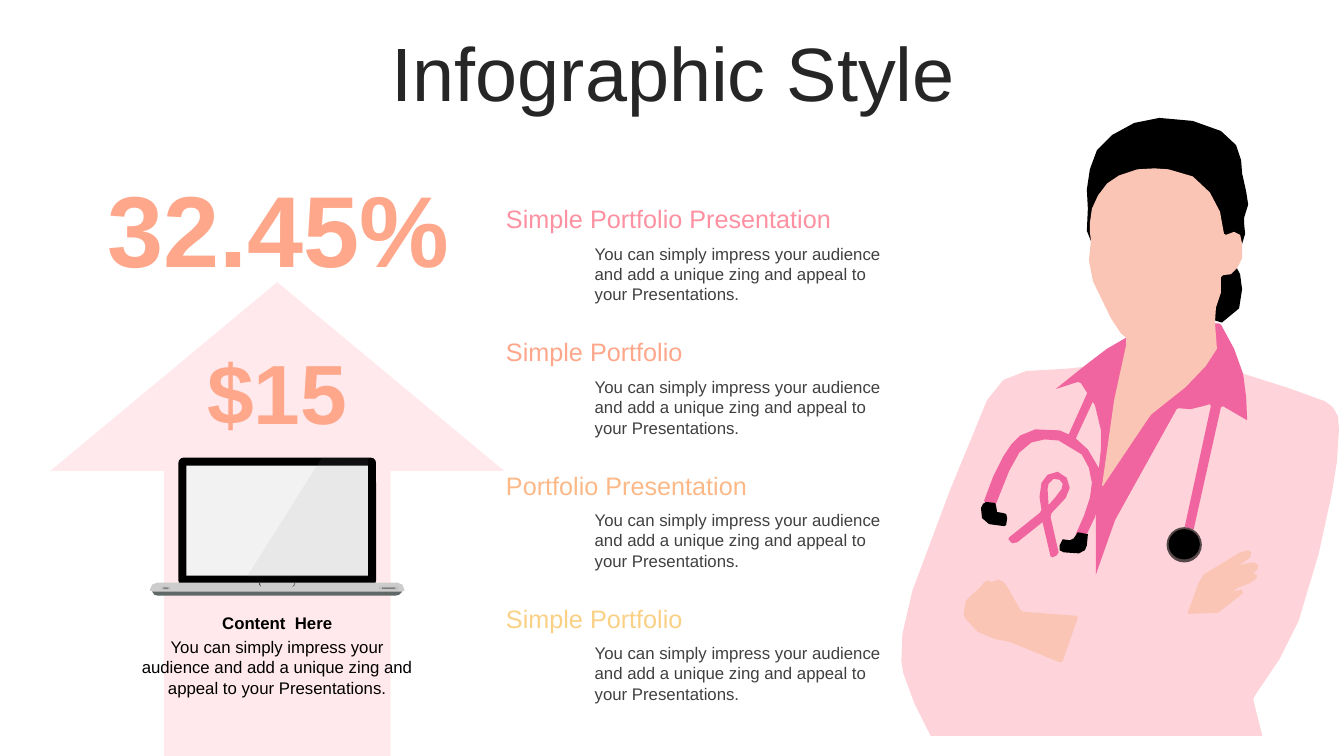
from lxml import etree
from pptx import Presentation
from pptx.dml.color import RGBColor
from pptx.enum.shapes import MSO_SHAPE
from pptx.enum.text import MSO_ANCHOR, MSO_AUTO_SIZE, PP_ALIGN
from pptx.oxml.ns import qn
from pptx.util import Pt

PX = 9144


class Theme:
    font = "Arial"
    title, body, black = "262626", "404040", "000000"
    figure, arrow = "FEA78B", "FFE9EC"
    coat, pink, skin, rim = "FED3D9", "F0659F", "FBC5B5", "564849"
    screen, gloss, base, underside = "F2F2F2", "999999", "CCCCCC", "5F6767"
    notch, port, slot = "4D4D4D", "BFBFBF", "595959"
    topics = ["FD91A1", "FEA78B", "FCB987", "FAD085"]
    title_size, percent_size, price_size, heading_size, body_size = 54, 72, 60, 18, 12


BLURB = ("You can simply impress your audience and add a unique zing "
         "and appeal to your Presentations.")
HEADINGS = ["Simple Portfolio Presentation", "Simple Portfolio",
            "Portfolio Presentation", "Simple Portfolio"]

HAIR = [(1081, 168), (1088, 149), (1103, 134), (1125, 122), (1150, 117), (1183, 120), (1211, 130),
        (1226, 144), (1231, 159), (1232, 172), (1236, 190), (1238, 203), (1234, 216), (1234, 222),
        (1235, 232), (1232, 242), (1224, 261), (1230, 272), (1232, 287), (1229, 306), (1212, 320),
        (1205, 318), (1195, 324), (1173, 323), (1122, 295), (1082, 239), (1078, 229), (1079, 207),
        (1078, 188)]
COAT = [(896, 668), (894, 656), (895, 629), (905, 586), (942, 487), (979, 397), (995, 377),
        (1018, 368), (1055, 366), (1075, 364), (1120, 362), (1177, 364), (1234, 371), (1278, 385),
        (1314, 398), (1322, 404), (1327, 413), (1328, 426), (1326, 458), (1321, 489), (1308, 549),
        (1288, 616), (1269, 654), (1246, 688), (1243, 693), (1244, 698), (1252, 730), (923, 730),
        (907, 698)]
COLLAR = [(1188, 320), (1209, 321), (1211, 322), (1224, 346), (1233, 371), (1236, 394), (1237, 417),
          (1213, 403), (1211, 404), (1184, 525), (1175, 523), (1201, 403), (1200, 401), (1193, 403),
          (1181, 406), (1169, 405), (1167, 406), (1122, 487), (1106, 516), (1088, 567), (1087, 570),
          (1087, 492), (1092, 445), (1092, 427), (1086, 402), (1072, 380), (1069, 379), (1047, 386),
          (1077, 362), (1098, 346), (1117, 335), (1151, 325)]
LEFT_HAND = [(957, 602), (956, 609), (957, 613), (970, 627), (987, 634), (1002, 637), (1051, 657),
             (1054, 656), (1069, 613), (1068, 611), (1015, 607), (1012, 605), (999, 582), (995, 577),
             (990, 575), (985, 577), (982, 577), (979, 576), (976, 578), (970, 585), (963, 591),
             (958, 596)]
RIGHT_HAND = [(1243, 569), (1247, 565), (1248, 561), (1244, 558), (1237, 559), (1229, 561), (1236, 556),
              (1240, 553), (1241, 548), (1238, 546), (1230, 548), (1194, 570), (1189, 578), (1178, 608),
              (1179, 609), (1206, 608), (1208, 608), (1230, 591), (1233, 588), (1231, 585), (1223, 587),
              (1220, 589), (1228, 583), (1239, 579), (1246, 574), (1247, 571), (1244, 569)]
RIBBON = [(1001, 533), (1031, 509), (1033, 506), (1031, 493), (1033, 479), (1039, 471), (1049, 468),
          (1058, 474), (1061, 484), (1057, 494), (1043, 509), (1042, 513), (1050, 548), (1048, 551),
          (1044, 553), (1042, 552), (1034, 518), (1009, 538), (1004, 539), (1000, 535)]
RIBBON_LOOP = [(1040, 501), (1047, 493), (1053, 485), (1054, 480), (1051, 476), (1045, 475),
               (1040, 480), (1039, 485)]
FACE = [(1082, 239), (1080, 258), (1084, 279), (1102, 316), (1112, 331), (1117, 335), (1117, 342),
        (1105, 397), (1093, 482), (1094, 482), (1139, 415), (1142, 411), (1176, 384), (1196, 363),
        (1207, 346), (1205, 320), (1206, 305), (1211, 290), (1211, 275), (1213, 273), (1221, 272),
        (1227, 266), (1232, 256), (1232, 242), (1230, 233), (1224, 230), (1216, 233), (1214, 232),
        (1210, 210), (1200, 191), (1183, 175), (1159, 168), (1145, 167), (1128, 168), (1110, 174),
        (1098, 182), (1089, 194), (1083, 207), (1081, 221), (1081, 230)]
STETHOSCOPE = [(1090, 364), (1098, 368), (1067, 435), (1079, 446), (1092, 468), (1092, 492),
               (1086, 513), (1076, 534), (1071, 534), (1067, 530), (1075, 512), (1081, 494),
               (1083, 479), (1080, 464), (1073, 451), (1050, 437), (1036, 436), (1023, 439),
               (1011, 449), (1001, 467), (987, 502), (980, 501), (976, 497), (985, 473), (995, 453),
               (1003, 441), (1012, 432), (1027, 426), (1051, 427), (1060, 431)]
RIGHT_EARPIECE = [(1079, 530), (1069, 528), (1065, 534), (1061, 536), (1054, 535), (1051, 541),
                  (1051, 546), (1055, 548), (1070, 549), (1076, 546), (1078, 541)]
LEFT_EARPIECE = [(987, 499), (978, 498), (975, 500), (973, 504), (974, 514), (981, 520), (996, 522),
                 (998, 521), (999, 514), (998, 510), (995, 509), (989, 508), (988, 502)]
UNDERSIDE = [(151, 587), (153, 585), (397, 584), (399, 587), (396, 590), (392, 591), (157, 591),
             (153, 590)]
BASE = [(156, 578), (394, 578), (399, 580), (401, 585), (401, 586), (398, 587), (153, 587),
        (149, 586), (149, 584), (151, 580)]
NOTCH_LEFT = [(257, 578), (258, 578), (258, 580), (259, 582), (257, 580)]
NOTCH_RIGHT = [(292, 578), (293, 578), (292, 581), (290, 582), (292, 580)]
GLOSS = [(320, 453), (365, 454), (365, 572), (245, 572)]

DOCTOR = [
    (Theme.black, [HAIR]), (Theme.coat, [COAT]), (Theme.pink, [COLLAR]),
    (Theme.skin, [LEFT_HAND]), (Theme.skin, [RIGHT_HAND]),
    (Theme.pink, [RIBBON, RIBBON_LOOP]), (Theme.skin, [FACE]),
    (Theme.pink, [STETHOSCOPE]), (Theme.black, [RIGHT_EARPIECE]), (Theme.black, [LEFT_EARPIECE]),
]


def paint(sp, color):
    sp.shadow.inherit = False
    sp.fill.solid()
    sp.fill.fore_color.rgb = RGBColor.from_string(color)
    sp.line.fill.background()
    return sp


def add_preset(shapes, kind, box, color, *adjustments):
    sp = paint(shapes.add_shape(kind, *(v * PX for v in box)), color)
    for i, value in enumerate(adjustments):
        sp.adjustments[i] = value


def add_outline(shapes, color, contours):
    builder = shapes.build_freeform(*contours[0][0], scale=PX)
    for i, points in enumerate(contours):
        if i:
            builder.move_to(*points[0])
        builder.add_line_segments(points[1:], close=True)
    return paint(builder.convert_to_shape(), color)


def add_text(shapes, text, box, size, color, align=PP_ALIGN.LEFT, bold=False, spacing=1.0):
    tf = shapes.add_textbox(*(v * PX for v in box)).text_frame
    tf.word_wrap = True
    tf.auto_size = MSO_AUTO_SIZE.SHAPE_TO_FIT_TEXT
    tf.text = text
    p = tf.paragraphs[0]
    p.alignment, p.line_spacing = align, spacing
    font = p.runs[0].font
    font.name, font.size, font.bold = Theme.font, Pt(size), bold
    font.color.rgb = RGBColor.from_string(color)
    return tf


def add_doctor(slide):
    shapes = slide.shapes.add_group_shape().shapes
    for color, contours in DOCTOR:
        add_outline(shapes, color, contours)
    add_preset(shapes, MSO_SHAPE.OVAL, (1157, 523, 35, 35), Theme.rim)
    add_preset(shapes, MSO_SHAPE.OVAL, (1159, 525, 31, 30), Theme.black)


def add_laptop(slide):
    shapes = slide.shapes.add_group_shape().shapes
    rounded = MSO_SHAPE.ROUNDED_RECTANGLE
    add_outline(shapes, Theme.underside, [UNDERSIDE])
    add_preset(shapes, rounded, (177, 454, 196, 127), Theme.black, 0.04)
    add_preset(shapes, MSO_SHAPE.RECTANGLE, (185, 462, 180, 109), Theme.screen)
    add_outline(shapes, Theme.base, [BASE])
    add_outline(shapes, Theme.notch, [NOTCH_LEFT, NOTCH_RIGHT])
    for left, width, inset in ((160, 9, 2), (376, 19, 3)):
        add_preset(shapes, rounded, (left, 582, width, 3), Theme.port, 0.28)
        add_preset(shapes, rounded, (left + inset, 583, width - 2 * inset, 1), Theme.slot, 0.28)
    gloss = add_outline(shapes, Theme.gloss, [GLOSS])
    tint = next(gloss._element.iter(qn("a:srgbClr")))
    etree.SubElement(tint, qn("a:alpha")).set("val", "10000")


def add_topics(shapes):
    for row, (heading, color) in enumerate(zip(HEADINGS, Theme.topics)):
        top = 203 + 132 * row
        add_text(shapes, heading, (492, top, 408, 34), Theme.heading_size, color, spacing=0.8)
        add_text(shapes, BLURB, (580, top + 34, 320, 71), Theme.body_size, Theme.body)


def main():
    prs = Presentation()
    prs.slide_width, prs.slide_height = 1333 * PX, 750 * PX
    slide = prs.slides.add_slide(prs.slide_layouts[6])
    shapes = slide.shapes
    center = PP_ALIGN.CENTER
    title = add_text(shapes, "Infographic Style", (35, 37, 1266, 79),
                     Theme.title_size, Theme.title, center, spacing=0.9)
    title.auto_size = MSO_AUTO_SIZE.NONE
    title.vertical_anchor = MSO_ANCHOR.MIDDLE
    add_doctor(slide)
    add_preset(shapes, MSO_SHAPE.UP_ARROW, (50, 280, 450, 470), Theme.arrow, 0.5, 0.416)
    add_text(shapes, "$15", (135, 333, 280, 111), Theme.price_size, Theme.figure, center, True)
    add_text(shapes, "32.45%", (65, 160, 422, 131), Theme.percent_size, Theme.figure, center, True)
    add_laptop(slide)
    add_text(shapes, BLURB, (130, 627, 290, 71), Theme.body_size, Theme.black, center)
    add_text(shapes, "Content  Here", (130, 603, 290, 30), Theme.body_size, Theme.black, center, True)
    add_topics(shapes)
    prs.save("out.pptx")


if __name__ == "__main__":
    main()
